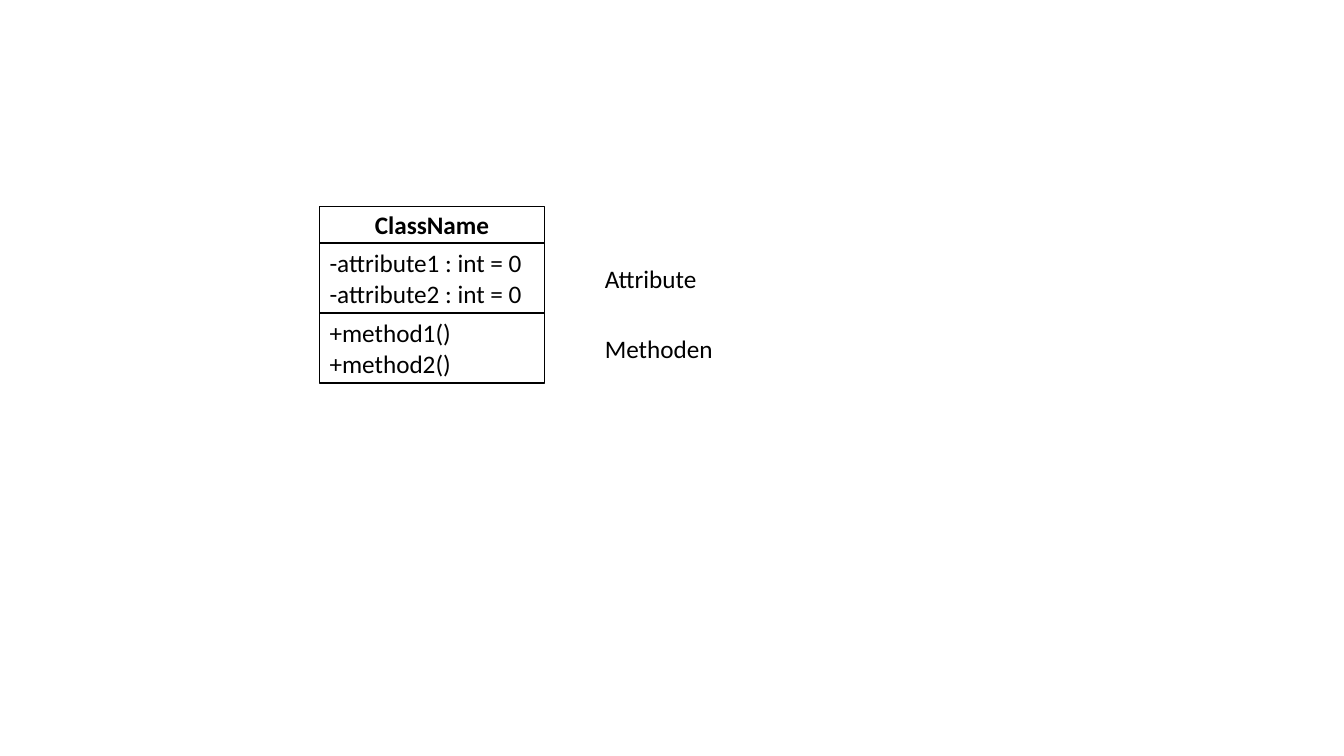
from pptx import Presentation
from pptx.dml.color import RGBColor
from pptx.enum import shapes, text
from pptx.util import Inches, Pt

BLACK = RGBColor(0, 0, 0)
FONT = "Calibri"
HEAD, ROW = 0.36, 0.695  # heights of the name and member boxes


def put_text(shape, lines, bold=False, align=text.PP_ALIGN.LEFT, level=0):
    frame = shape.text_frame
    frame.word_wrap = True
    frame.vertical_anchor = text.MSO_ANCHOR.MIDDLE
    frame.text = "\n".join(lines)
    for para in frame.paragraphs:
        para.alignment = align
        para.level = level
        font = para.font
        font.name, font.size, font.bold = FONT, Pt(18), bold
        font.color.rgb = BLACK


def add_cell(slide, left, top, width, height, lines, **form):
    box = slide.shapes.add_shape(
        shapes.MSO_SHAPE.RECTANGLE,
        Inches(left), Inches(top), Inches(width), Inches(height))
    box.shadow.inherit = False
    box.fill.background()
    box.line.color.rgb = BLACK
    box.line.width = Pt(1)
    put_text(box, lines, **form)


def add_label(slide, left, top, width, height, label):
    box = slide.shapes.add_textbox(
        Inches(left), Inches(top), Inches(width), Inches(height))
    put_text(box, [label], level=1)


def add_class(slide, left, top, width, name, parts):
    # Member boxes, each with its label to the right
    for i, (label, lines) in enumerate(parts):
        y = top + HEAD + i * ROW
        add_cell(slide, left, y, width, ROW, lines)
        add_label(slide, left + width, y, width, ROW, label)
    # Class name on top
    add_cell(slide, left, top, width, HEAD, [name],
             bold=True, align=text.PP_ALIGN.CENTER)


deck = Presentation()
deck.slide_width, deck.slide_height = Inches(13.33), Inches(7.5)
page = deck.slides.add_slide(deck.slide_layouts[6])
add_class(page, 3.17, 2.05, 2.23, "ClassName", [
    ("Attribute", ["-attribute1 : int = 0", "-attribute2 : int = 0"]),
    ("Methoden", ["+method1()", "+method2()"]),
])
deck.save("out.pptx")
